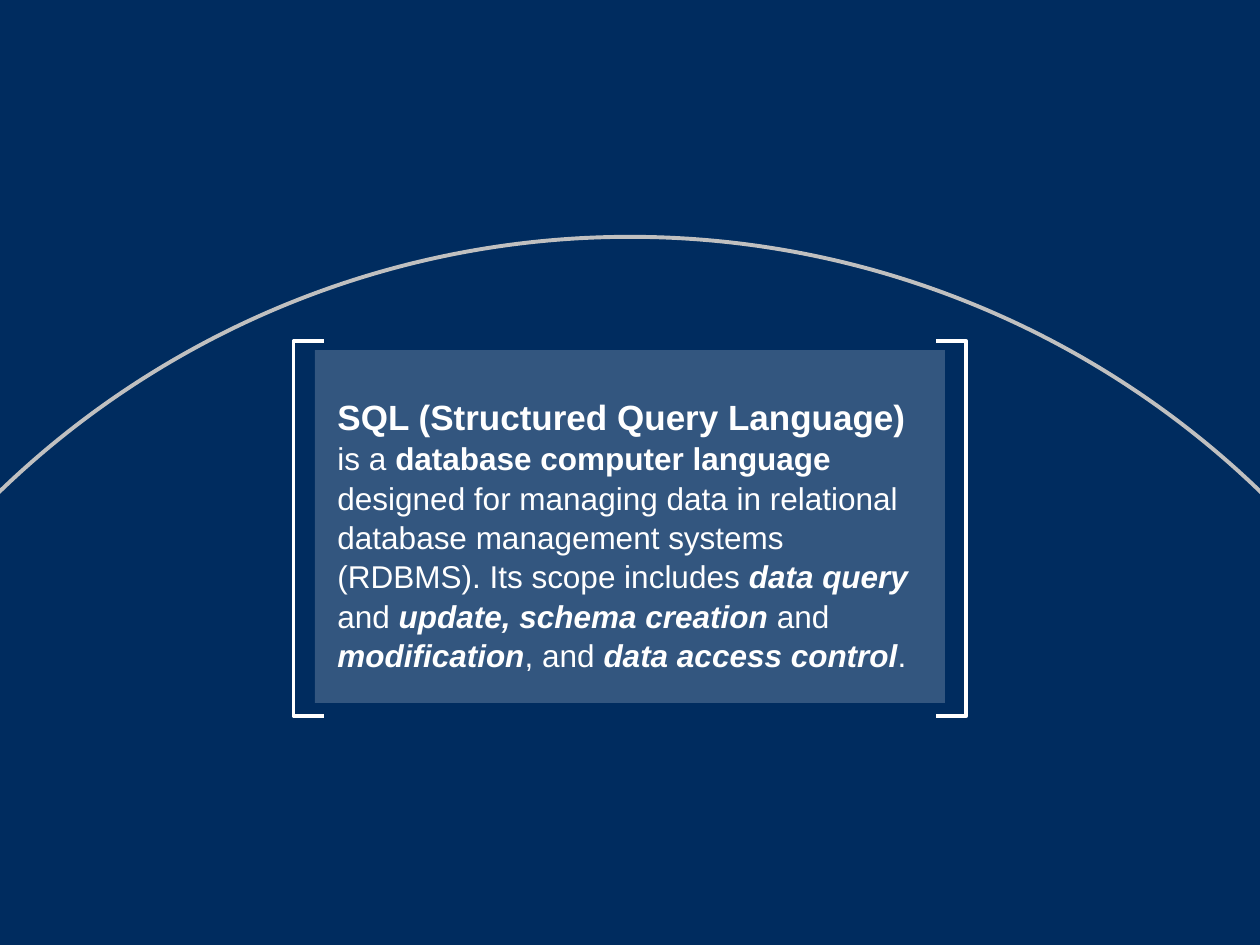
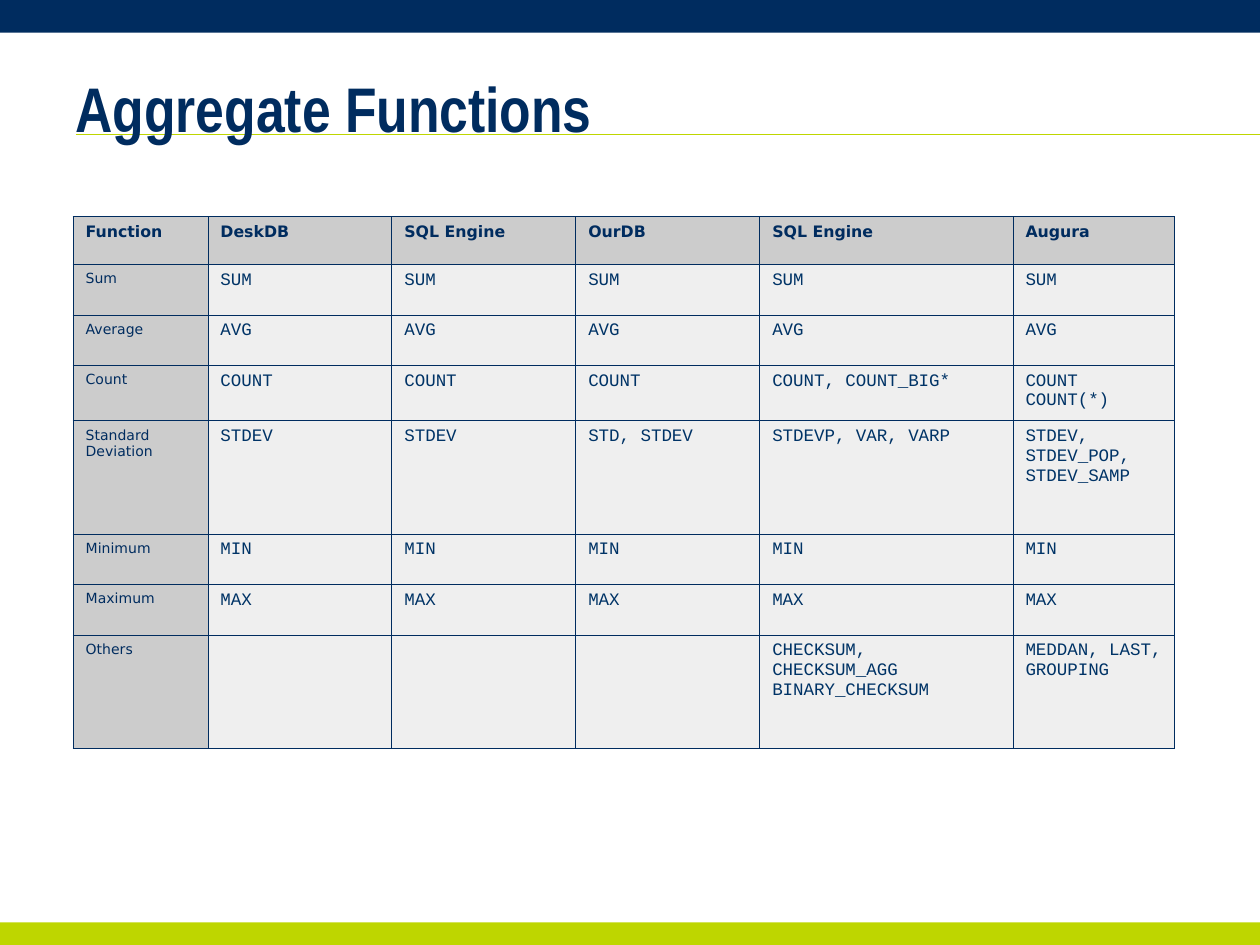
from dataclasses import dataclass

from lxml import etree
from pptx import Presentation
from pptx import util as u
from pptx.dml.color import RGBColor
from pptx.enum import shapes, text
from pptx.oxml import parse_xml
from pptx.oxml.ns import nsdecls, qn

NAVY, LIME, WHITE, SILVER = "002C5F", "BED600", "FFFFFF", "C0C0C0"
CODE_BLUE, HEAD_GREY, CELL_GREY = "003366", "CCCCCC", "EFEFEF"


@dataclass(frozen=True)
class Box:
    x: float
    y: float
    w: float
    h: float

    def emu(self) -> list:
        return [u.Inches(v) for v in (self.x, self.y, self.w, self.h)]


@dataclass(frozen=True)
class Style:
    font: str
    size: float
    color: str
    bold: bool = False
    italic: bool = False


@dataclass(frozen=True)
class Band:
    box: Box
    color: str


BANDS = [Band(Box(0, 0, 10, 0.26), NAVY), Band(Box(0, 7.32, 10, 0.18), LIME)]

TITLE = Style("Arial Narrow", 36, NAVY, bold=True)
LEAD = Style("Arial", 20, WHITE, bold=True)
PLAIN = Style("Arial", 18, WHITE)
STRONG = Style("Arial", 18, WHITE, bold=True)
STRESS = Style("Arial", 18, WHITE, bold=True, italic=True)
HEADER = Style("DejaVu Sans", 9, NAVY, bold=True)
LABEL = Style("DejaVu Sans", 8, NAVY)
CODE = Style("Courier New", 10, CODE_BLUE)

DEFINITION = [
    ("SQL (Structured Query Language)", LEAD),
    (" ", STRONG),
    ("is a ", PLAIN),
    ("database computer language", STRONG),
    (" designed for managing data in relational database management systems "
     "(RDBMS). Its scope includes ", PLAIN),
    ("data query ", STRESS),
    ("and", PLAIN),
    (" update, schema creation ", STRESS),
    ("and", PLAIN),
    (" modification", STRESS),
    (", and ", PLAIN),
    ("data access control", STRESS),
    (".", PLAIN),
]

COLUMNS = [1.07, 1.46, 1.46, 1.46, 2.01, 1.28]
ROW_HEIGHTS = [0.38, 0.4, 0.4, 0.44, 0.9, 0.4, 0.4, 0.9]
FUNCTIONS = [
    ["Function", "DeskDB", "SQL Engine", "OurDB", "SQL Engine", "Augura"],
    ["Sum"] + ["SUM"] * 5,
    ["Average"] + ["AVG"] * 5,
    ["Count"] + ["COUNT"] * 3 + ["COUNT, COUNT_BIG*", "COUNT\nCOUNT(*)"],
    ["Standard Deviation", "STDEV", "STDEV", "STD, STDEV", "STDEVP, VAR, VARP",
     "STDEV,\nSTDEV_POP, STDEV_SAMP"],
    ["Minimum"] + ["MIN"] * 5,
    ["Maximum"] + ["MAX"] * 5,
    ["Others", "", "", "", "CHECKSUM, CHECKSUM_AGG\nBINARY_CHECKSUM",
     "MEDDAN, LAST, GROUPING"],
]


def rgb(color: str) -> RGBColor:
    return RGBColor.from_string(color)


def add_run(p, content: str, style: Style) -> None:
    r = p.add_run()
    r.text = content
    f = r.font
    f.name, f.size, f.bold, f.italic = style.font, u.Pt(style.size), style.bold, style.italic
    f.color.rgb = rgb(style.color)


def add_rect(s, box: Box, color: str, opacity: int = 100):
    sp = s.shapes.add_shape(shapes.MSO_SHAPE.RECTANGLE, *box.emu())
    sp.shadow.inherit = False
    sp.fill.solid()
    sp.fill.fore_color.rgb = rgb(color)
    sp.line.fill.background()
    if opacity < 100:
        srgb = sp.fill._xPr.find(qn("a:solidFill")).find(qn("a:srgbClr"))
        etree.SubElement(srgb, qn("a:alpha")).set("val", str(opacity * 1000))
    return sp


def outline_only(sp, color: str, width: float) -> None:
    sp.shadow.inherit = False
    sp.fill.background()
    sp.line.color.rgb = rgb(color)
    sp.line.width = u.Pt(width)


def add_rule(s, x1: float, x2: float, y: float):
    cx = s.shapes.add_connector(shapes.MSO_CONNECTOR.STRAIGHT, u.Inches(x1), u.Inches(y),
                                u.Inches(x2), u.Inches(y))
    cx.line.color.rgb = rgb(LIME)
    cx.line.width = u.Pt(0.75)
    etree.SubElement(cx._element.spPr, qn("a:effectLst"))
    return cx


def decorate_master(prs, s) -> None:
    frame = [add_rect(s, band.box, band.color) for band in BANDS]
    frame.append(add_rule(s, 0.6, 10, 1.07))
    tree = prs.slide_master.shapes._spTree
    for i, sp in enumerate(frame):
        tree.insert(2 + i, sp._element)


def add_bracket(s, tip_x: float, spine_x: float, top: float, bottom: float) -> None:
    corners = [(spine_x, top), (spine_x, bottom), (tip_x, bottom)]
    fb = s.shapes.build_freeform(u.Inches(tip_x), u.Inches(top))
    fb.add_line_segments([(u.Inches(x), u.Inches(y)) for x, y in corners], close=False)
    outline_only(fb.convert_to_shape(), WHITE, 2.25)


def add_arc(s, cx: float, cy: float, radius: float, start: int, end: int) -> None:
    box = Box(cx - radius, cy - radius, 2 * radius, 2 * radius)
    sp = s.shapes.add_shape(shapes.MSO_SHAPE.ARC, *box.emu())
    sp.adjustments[0], sp.adjustments[1] = start * 0.6, end * 0.6
    outline_only(sp, SILVER, 2.25)


def build_definition(s) -> None:
    add_rect(s, Box(0, 0, 10, 7.5), NAVY)
    add_arc(s, 5, 9.08, 7.2, 225, 315)
    for tip_x, spine_x in ((2.57, 2.33), (7.43, 7.67)):
        add_bracket(s, tip_x, spine_x, 2.71, 5.68)
    add_rect(s, Box(2.5, 2.78, 5, 2.8), WHITE, opacity=20)
    tf = s.shapes.add_textbox(*Box(2.58, 3.08, 4.85, 2.24).emu()).text_frame
    tf.word_wrap = True
    p = tf.paragraphs[0]
    p.line_spacing = 1.04
    for content, style in DEFINITION:
        add_run(p, content, style)


def set_title(s, content: str) -> None:
    sp = s.shapes.title
    sp.left, sp.top, sp.width, sp.height = Box(0.5, 0.23, 8.76, 1.25).emu()
    tf = sp.text_frame
    tf.auto_size = text.MSO_AUTO_SIZE.NONE
    tf.vertical_anchor = text.MSO_ANCHOR.MIDDLE
    p = tf.paragraphs[0]
    p.alignment = text.PP_ALIGN.LEFT
    add_run(p, content, TITLE)


def set_borders(cell, color: str, width: float) -> None:
    tc_pr = cell._tc.get_or_add_tcPr()
    for side in ("lnL", "lnR", "lnT", "lnB"):
        tc_pr.append(parse_xml(
            f'<a:{side} {nsdecls("a")} w="{u.Pt(width)}"><a:solidFill>'
            f'<a:srgbClr val="{color}"/></a:solidFill></a:{side}>'))


def fill_cell(cell, content: str, style: Style, fill: str) -> None:
    set_borders(cell, NAVY, 0.45)
    cell.fill.solid()
    cell.fill.fore_color.rgb = rgb(fill)
    if not content:
        return
    tf = cell.text_frame
    for i, line in enumerate(content.split("\n")):
        p = tf.add_paragraph() if i else tf.paragraphs[0]
        add_run(p, line, style)


def build_functions(s) -> None:
    set_title(s, "Aggregate Functions")
    box = Box(0.58, 1.72, sum(COLUMNS), sum(ROW_HEIGHTS))
    tbl = s.shapes.add_table(len(ROW_HEIGHTS), len(COLUMNS), *box.emu()).table
    tbl.first_row = tbl.horz_banding = False
    for column, width in zip(tbl.columns, COLUMNS):
        column.width = u.Inches(width)
    for row, height in zip(tbl.rows, ROW_HEIGHTS):
        row.height = u.Inches(height)
    for i, values in enumerate(FUNCTIONS):
        for j, value in enumerate(values):
            style = HEADER if i == 0 else LABEL if j == 0 else CODE
            fill = CELL_GREY if style is CODE else HEAD_GREY
            fill_cell(tbl.cell(i, j), value, style, fill)


def main() -> None:
    prs = Presentation()
    prs.slide_width, prs.slide_height = u.Inches(10), u.Inches(7.5)
    title_only, blank = prs.slide_layouts[5], prs.slide_layouts[6]
    s = prs.slides.add_slide(blank)
    decorate_master(prs, s)
    build_definition(s)
    build_functions(prs.slides.add_slide(title_only))
    prs.save("out.pptx")


if __name__ == "__main__":
    main()
